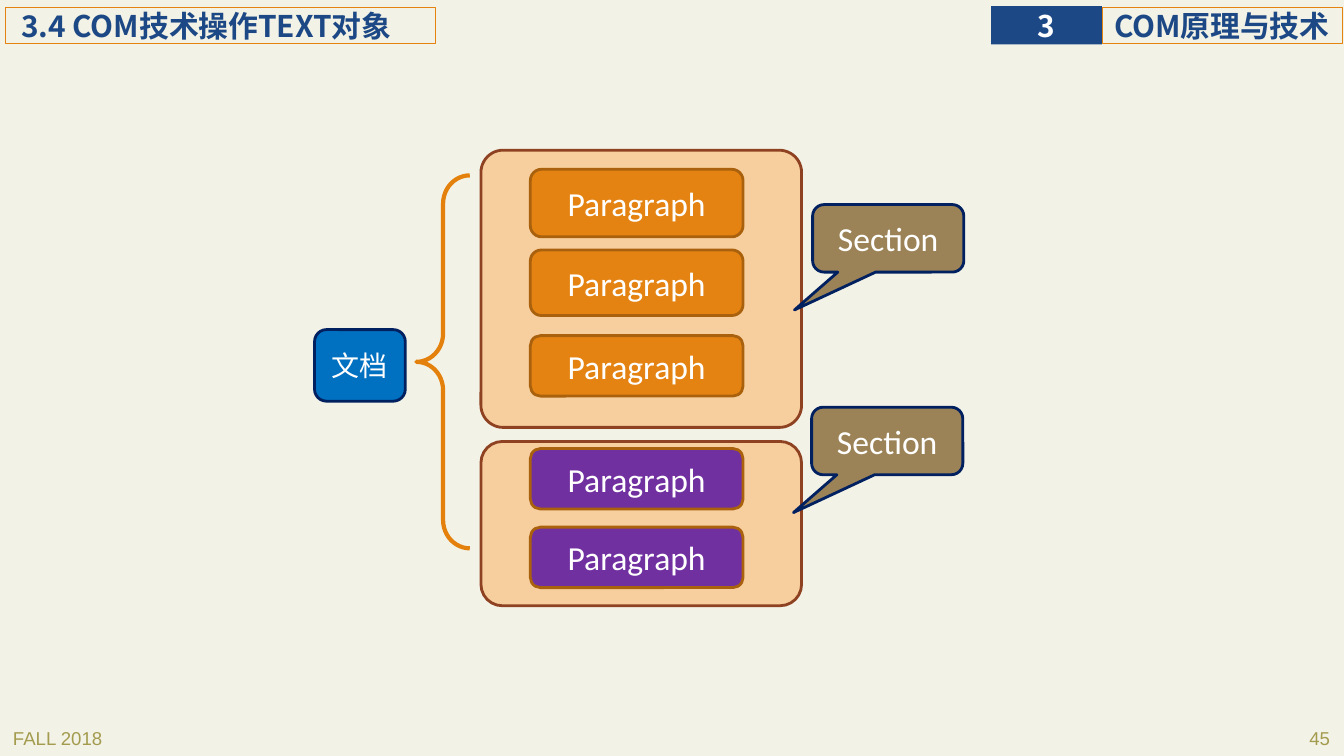
from lxml.etree import SubElement
from pptx import Presentation
from pptx.dml.color import RGBColor
from pptx.enum.shapes import MSO_SHAPE
from pptx.enum.text import MSO_ANCHOR, MSO_AUTO_SIZE, PP_ALIGN
from pptx.oxml.ns import qn
from pptx.util import Inches, Pt

TITLE = "3.4 COM技术操作TEXT对象"
CHAPTER_NUMBER = "3"
CHAPTER = "COM原理与技术"
FOOTERS = [("FALL 2018", 0.03, PP_ALIGN.LEFT), ("45", 10.51, PP_ALIGN.RIGHT)]

NAVY, ORANGE, OUTLINE = "1C4885", "E48312", "002060"
CJK_FONT = "Noto Sans CJK SC"
HEADING = {"size": 21.3, "font": CJK_FONT, "color": NAVY, "bold": True}

# Each section: top, height, corner, callout left and top, paragraph fill,
# then (top, height) of its paragraphs
SECTIONS = [
    (1.49, 2.75, 0.08, (8.06, 2.03), ORANGE,
     [(1.68, 0.67), (2.48, 0.65), (3.33, 0.6)]),
    (4.38, 1.63, 0.13, (8.05, 4.04), "7030A0",
     [(4.45, 0.6), (5.23, 0.6)]),
]
SECTION_LEFT, SECTION_WIDTH = 4.77, 3.18
PARAGRAPH_LEFT, PARAGRAPH_WIDTH = 5.26, 2.11


def rgb(color):
    return RGBColor.from_string(color)


def write_text(shape, text, size=24, font="Calibri", color="FFFFFF", bold=False,
               align=PP_ALIGN.CENTER, anchor=MSO_ANCHOR.MIDDLE, insets=None):
    frame = shape.text_frame
    frame.word_wrap = True
    frame.auto_size = MSO_AUTO_SIZE.NONE
    frame.vertical_anchor = anchor
    if insets:
        (frame.margin_left, frame.margin_top,
         frame.margin_right, frame.margin_bottom) = map(Inches, insets)
    paragraph = frame.paragraphs[0]
    paragraph.alignment = align
    run = paragraph.add_run()
    run.text = text
    run.font.size = Pt(size)
    run.font.name = font
    run.font.bold = bold
    run.font.color.rgb = rgb(color)
    SubElement(run.font._element, qn("a:ea")).set("typeface", CJK_FONT)


def style_outline(shape, color, width):
    shape.line.color.rgb = rgb(color)
    shape.line.width = Pt(width)


def add_box(slide, kind, box, fill=None, line=None, line_width=2, adjustments=()):
    shape = slide.shapes.add_shape(kind, *map(Inches, box))
    shape.shadow.inherit = False
    if fill:
        shape.fill.solid()
        shape.fill.fore_color.rgb = rgb(fill)
    else:
        shape.fill.background()
    if line:
        style_outline(shape, line, line_width)
    else:
        shape.line.fill.background()
    for index, value in enumerate(adjustments):
        shape.adjustments[index] = value
    return shape


def add_header(slide):
    title = slide.shapes.title
    title.left, title.top, title.width, title.height = map(
        Inches, (0.05, 0.07, 4.27, 0.36))
    style_outline(title, ORANGE, 0.75)
    write_text(title, TITLE, align=PP_ALIGN.LEFT, insets=(0.16, 0, 0, 0), **HEADING)

    chapter = add_box(slide, MSO_SHAPE.RECTANGLE, (10.93, 0.07, 2.39, 0.36),
                      line=ORANGE, line_width=0.75)
    write_text(chapter, CHAPTER, align=PP_ALIGN.LEFT, insets=(0.12, 0, 0, 0), **HEADING)
    number = add_box(slide, MSO_SHAPE.RECTANGLE, (9.83, 0.06, 1.1, 0.38), fill=NAVY)
    write_text(number, CHAPTER_NUMBER, insets=(0, 0, 0, 0),
               **{**HEADING, "color": "FFFFFF"})


def add_footers(slide):
    for text, left, align in FOOTERS:
        footer = slide.shapes.add_textbox(*map(Inches, (left, 7.16, 2.78, 0.31)))
        write_text(footer, text, size=13.3, font="Arial", color="A39B4E",
                   align=align, anchor=MSO_ANCHOR.TOP)


def add_document(slide):
    add_box(slide, MSO_SHAPE.LEFT_BRACE, (4.13, 1.74, 0.53, 3.7),
            line="E4810C", line_width=3, adjustments=(0.53, 0.5))
    document = add_box(slide, MSO_SHAPE.ROUNDED_RECTANGLE, (3.12, 3.27, 0.9, 0.71),
                       fill="0070C0", line=OUTLINE)
    write_text(document, "文档", size=20)


def add_section(slide, top, height, corner, callout_place, paragraph_fill, paragraphs):
    add_box(slide, MSO_SHAPE.ROUNDED_RECTANGLE,
            (SECTION_LEFT, top, SECTION_WIDTH, height),
            fill="F7CE9D", line="8E4221", adjustments=(corner,))
    for paragraph_top, paragraph_height in paragraphs:
        box = (PARAGRAPH_LEFT, paragraph_top, PARAGRAPH_WIDTH, paragraph_height)
        shape = add_box(slide, MSO_SHAPE.ROUNDED_RECTANGLE, box,
                        fill=paragraph_fill, line="A9610D")
        write_text(shape, "Paragraph")
    callout = add_box(slide, MSO_SHAPE.ROUNDED_RECTANGULAR_CALLOUT,
                      (*callout_place, 1.5, 0.67), fill="9B8357", line=OUTLINE,
                      adjustments=(-0.62, 1.06, 0.17))
    write_text(callout, "Section")


def main():
    presentation = Presentation()
    presentation.slide_width = Inches(13.33)
    presentation.slide_height = Inches(7.5)
    slide = presentation.slides.add_slide(presentation.slide_layouts[5])
    slide.background.fill.solid()
    slide.background.fill.fore_color.rgb = rgb("F3F2E6")
    add_header(slide)
    add_footers(slide)
    add_document(slide)
    for section in SECTIONS:
        add_section(slide, *section)
    presentation.save("out.pptx")


if __name__ == "__main__":
    main()
